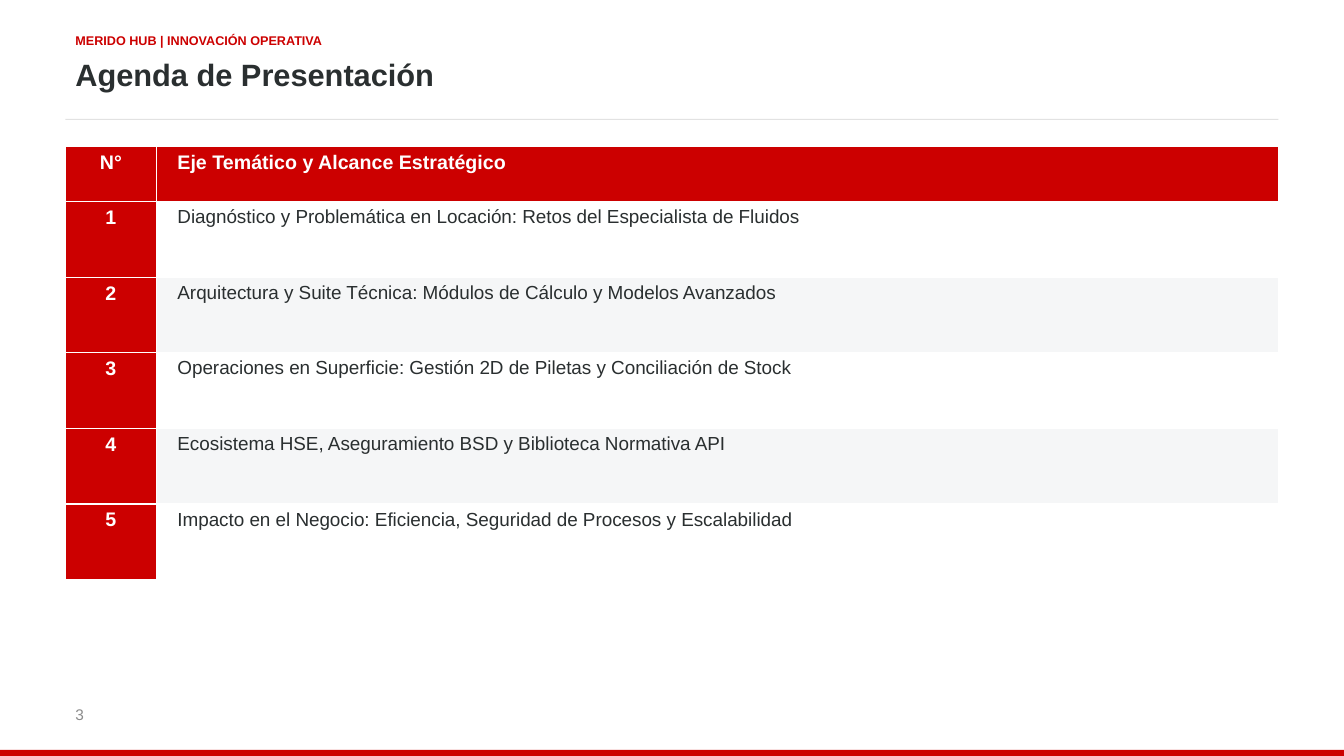
from pptx import Presentation
from pptx.dml.color import RGBColor
from pptx.enum.shapes import MSO_SHAPE
from pptx.enum.text import PP_ALIGN
from pptx.util import Inches, Pt

RED, DARK, GRAY, WHITE = "CC0000", "2A2F30", "8C8C8C", "FFFFFF"
RULE, BAND = "E2E2E2", "F5F6F7"
WIDTH, HEIGHT, MARGIN = 13.33, 7.5, 0.65
CONTENT_WIDTH = WIDTH - 2 * MARGIN
NUMBER_WIDTH, HEADER_HEIGHT, ROW_HEIGHT = 0.9, 0.55, 0.75
BAR_HEIGHT = 0.06


def color(hex_value):
    return RGBColor.from_string(hex_value)


def write(text_frame, text, size, hex_value, bold=False):
    """Put one formatted paragraph in the frame and return it."""
    text_frame.text = text
    paragraph = text_frame.paragraphs[0]
    font = paragraph.runs[0].font
    font.name, font.size, font.bold = "Arial", Pt(size), bold
    font.color.rgb = color(hex_value)
    return paragraph


presentation = Presentation()
presentation.slide_width = Inches(WIDTH)
presentation.slide_height = Inches(HEIGHT)
slide = presentation.slides.add_slide(presentation.slide_layouts[6])
slide.background.fill.solid()
slide.background.fill.fore_color.rgb = color(WHITE)

# Header and page number
texts = [
    ("MERIDO HUB | INNOVACIÓN OPERATIVA", 0.28, CONTENT_WIDTH, 0.3, 9, RED, True),
    ("Agenda de Presentación", 0.5, CONTENT_WIDTH, 0.65, 22, DARK, True),
    ("3", 6.95, 1.5, 0.4, 11, GRAY, False),
]
for text, top, width, height, size, hex_value, bold in texts:
    box = slide.shapes.add_textbox(Inches(MARGIN), Inches(top), Inches(width), Inches(height))
    box.text_frame.word_wrap = True
    write(box.text_frame, text, size, hex_value, bold)

# Header rule and bottom bar
bars = [
    (MARGIN, 1.18, CONTENT_WIDTH, 0.01, RULE),
    (0, HEIGHT - BAR_HEIGHT, WIDTH, BAR_HEIGHT, RED),
]
for left, top, width, height, hex_value in bars:
    bar = slide.shapes.add_shape(
        MSO_SHAPE.RECTANGLE, Inches(left), Inches(top), Inches(width), Inches(height))
    bar.shadow.inherit = False
    bar.fill.solid()
    bar.fill.fore_color.rgb = color(hex_value)
    bar.line.fill.background()

# Agenda table
topics = [
    "Diagnóstico y Problemática en Locación: Retos del Especialista de Fluidos",
    "Arquitectura y Suite Técnica: Módulos de Cálculo y Modelos Avanzados",
    "Operaciones en Superficie: Gestión 2D de Piletas y Conciliación de Stock",
    "Ecosistema HSE, Aseguramiento BSD y Biblioteca Normativa API",
    "Impacto en el Negocio: Eficiencia, Seguridad de Procesos y Escalabilidad",
]
rows = [("N°", "Eje Temático y Alcance Estratégico")]
rows += [(str(number), topic) for number, topic in enumerate(topics, 1)]
table = slide.shapes.add_table(
    len(rows), 2, Inches(MARGIN), Inches(1.45), Inches(CONTENT_WIDTH),
    Inches(HEADER_HEIGHT + len(topics) * ROW_HEIGHT)).table
table.columns[0].width = Inches(NUMBER_WIDTH)
table.columns[1].width = Inches(CONTENT_WIDTH - NUMBER_WIDTH)

for row_index, row in enumerate(rows):
    table.rows[row_index].height = Inches(ROW_HEIGHT if row_index else HEADER_HEIGHT)
    for column_index, text in enumerate(row):
        cell = table.cell(row_index, column_index)
        is_topic = row_index > 0 and column_index == 1
        cell.fill.solid()
        if is_topic:
            cell.fill.fore_color.rgb = color(WHITE if row_index % 2 else BAND)
            write(cell.text_frame, text, 13.5, DARK)
        else:
            cell.fill.fore_color.rgb = color(RED)
            write(cell.text_frame, text, 14, WHITE, True)
        if column_index == 0:
            cell.text_frame.paragraphs[0].alignment = PP_ALIGN.CENTER
        else:
            cell.margin_left = Inches(0.21)

presentation.save("out.pptx")
